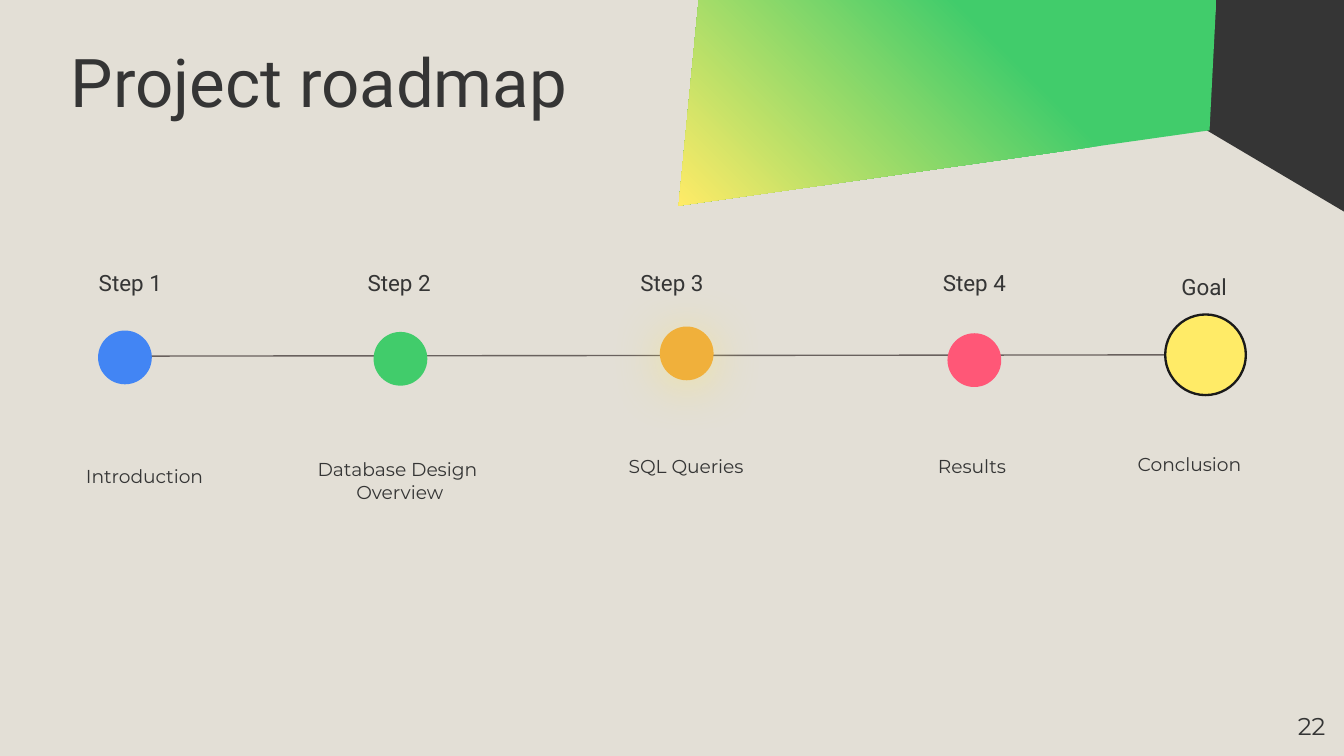
"""Build the project roadmap slide with a five-stage timeline."""
from dataclasses import dataclass
from typing import Optional

from lxml import etree
from pptx import Presentation
from pptx.dml.color import RGBColor
from pptx.enum.shapes import MSO_CONNECTOR, MSO_SHAPE
from pptx.enum.text import MSO_ANCHOR, PP_ALIGN
from pptx.oxml.ns import qn
from pptx.util import Inches, Pt

ELLIPSE = MSO_SHAPE.OVAL
STRAIGHT = MSO_CONNECTOR.STRAIGHT
TOP = MSO_ANCHOR.TOP
LEFT, CENTER, RIGHT = PP_ALIGN.LEFT, PP_ALIGN.CENTER, PP_ALIGN.RIGHT


@dataclass(frozen=True)
class Theme:
    background: str = "E3DFD6"
    ink: str = "353535"
    axis: str = "69615E"
    outline: str = "1A1A1A"
    blue: str = "4285F4"
    green: str = "41CC6B"
    orange: str = "F0B03B"
    pink: str = "FF5777"
    yellow: str = "FFEB67"
    heading_font: str = "Roboto"
    body_font: str = "Montserrat"
    title_size: float = 36
    label_size: float = 12
    detail_size: float = 10
    number_size: float = 13


THEME = Theme()


@dataclass(frozen=True)
class Box:
    left: float
    top: float
    width: float
    height: float

    def emu(self) -> tuple:
        return tuple(Inches(v) for v in (self.left, self.top, self.width, self.height))


@dataclass(frozen=True)
class Stage:
    label: str
    label_left: float
    detail: str
    detail_box: Box
    dot_left: float
    dot_top: float
    color: str
    label_top: float = 1.9
    diameter: float = 0.4
    spacing: float = 1.15
    outline: Optional[str] = None
    glow: Optional[str] = None


STAGES = (
    Stage("Step 1", 0.52, "Introduction", Box(0.13, 3.34, 1.89, 1.04),
          0.73, 2.46, THEME.blue),
    Stage("Step 2", 2.52, "Database Design \nOverview", Box(2.16, 3.31, 1.63, 1.13),
          2.78, 2.47, THEME.green, spacing=1.0),
    Stage("Step 3", 4.55, "SQL Queries", Box(4.38, 3.26, 1.45, 0.87),
          4.91, 2.43, THEME.orange, glow=THEME.yellow),
    Stage("Step 4", 6.8, "Results ", Box(6.35, 3.26, 1.8, 0.87),
          7.05, 2.48, THEME.pink),
    Stage("Goal", 8.51, "Conclusion", Box(7.95, 3.25, 1.8, 1.38),
          8.67, 2.34, THEME.yellow, label_top=1.93, diameter=0.6,
          outline=THEME.outline),
)


def rgb(color: str) -> RGBColor:
    return RGBColor.from_string(color)


def add_text(slide, text: str, box: Box, *, size: float, font: str,
             align=CENTER, spacing: float = 1.0) -> None:
    frame = slide.shapes.add_textbox(*box.emu()).text_frame
    frame.word_wrap = True
    frame.vertical_anchor = TOP
    frame.margin_left = frame.margin_right = Inches(0.1)
    frame.margin_top = frame.margin_bottom = Inches(0.1)
    frame.text = text
    for paragraph in frame.paragraphs:
        paragraph.alignment = align
        paragraph.line_spacing = spacing
        paragraph.font.size = Pt(size)
        paragraph.font.name = font
        paragraph.font.color.rgb = rgb(THEME.ink)


def add_polygon(slide, points: tuple):
    corners = [(Inches(x), Inches(y)) for x, y in points]
    builder = slide.shapes.build_freeform(*corners[0], scale=1.0)
    builder.add_line_segments(corners[1:], close=True)
    polygon = builder.convert_to_shape()
    polygon.shadow.inherit = False
    polygon.line.fill.background()
    return polygon


def add_decoration(slide) -> None:
    dark_panel = add_polygon(
        slide, ((8.98, 0.97), (10.01, 1.58), (10.01, -0.01), (9.05, -0.01)))
    dark_panel.fill.solid()
    dark_panel.fill.fore_color.rgb = rgb(THEME.ink)

    bright_panel = add_polygon(
        slide, ((5.2, -0.01), (5.05, 1.53), (9, 0.97), (9.05, 0)))
    bright_panel.fill.gradient()
    bright_panel.fill.gradient_angle = 225
    stops = bright_panel.fill.gradient_stops
    for stop, position, color in zip(stops, (0.35, 1), (THEME.green, THEME.yellow)):
        stop.position = position
        stop.color.rgb = rgb(color)


def add_axis(slide) -> None:
    axis = slide.shapes.add_connector(
        STRAIGHT, Inches(0.73), Inches(2.65), Inches(9.27), Inches(2.64))
    axis.line.color.rgb = rgb(THEME.axis)
    axis.line.width = Pt(0.75)
    etree.SubElement(axis.element.spPr, qn("a:effectLst"))


def add_glow(dot, color: str) -> None:
    effects = dot.element.spPr.find(qn("a:effectLst"))
    shadow = etree.SubElement(
        effects, qn("a:outerShdw"), blurRad=str(Pt(27)), dist=str(Pt(3)),
        dir="5400000", algn="bl", rotWithShape="0")
    tint = etree.SubElement(shadow, qn("a:srgbClr"), val=color)
    etree.SubElement(tint, qn("a:alpha"), val="50000")


def add_dot(slide, stage: Stage) -> None:
    box = Box(stage.dot_left, stage.dot_top, stage.diameter, stage.diameter)
    dot = slide.shapes.add_shape(ELLIPSE, *box.emu())
    dot.fill.solid()
    dot.fill.fore_color.rgb = rgb(stage.color)
    if stage.outline:
        dot.line.color.rgb = rgb(stage.outline)
        dot.line.width = Pt(1.25)
    else:
        dot.line.fill.background()
    dot.shadow.inherit = False
    if stage.glow:
        add_glow(dot, stage.glow)


def add_stage(slide, stage: Stage) -> None:
    add_dot(slide, stage)
    add_text(slide, stage.label, Box(stage.label_left, stage.label_top, 0.9, 0.4),
             size=THEME.label_size, font=THEME.heading_font)
    add_text(slide, stage.detail, stage.detail_box, size=THEME.detail_size,
             font=THEME.body_font, spacing=stage.spacing)


def main() -> None:
    deck = Presentation()
    deck.slide_width = Inches(10)
    deck.slide_height = Inches(10) * 9 // 16
    slide = deck.slides.add_slide(deck.slide_layouts[6])
    slide.background.fill.solid()
    slide.background.fill.fore_color.rgb = rgb(THEME.background)

    add_decoration(slide)
    add_axis(slide)
    for stage in STAGES:
        add_stage(slide, stage)
    add_text(slide, "Project roadmap", Box(0.43, 0.27, 6.37, 0.75), align=LEFT,
             size=THEME.title_size, font=THEME.heading_font, spacing=0.9)
    add_text(slide, "22", Box(9.36, 5.19, 0.6, 0.43), align=RIGHT,
             size=THEME.number_size, font=THEME.body_font)
    deck.save("out.pptx")


if __name__ == "__main__":
    main()
